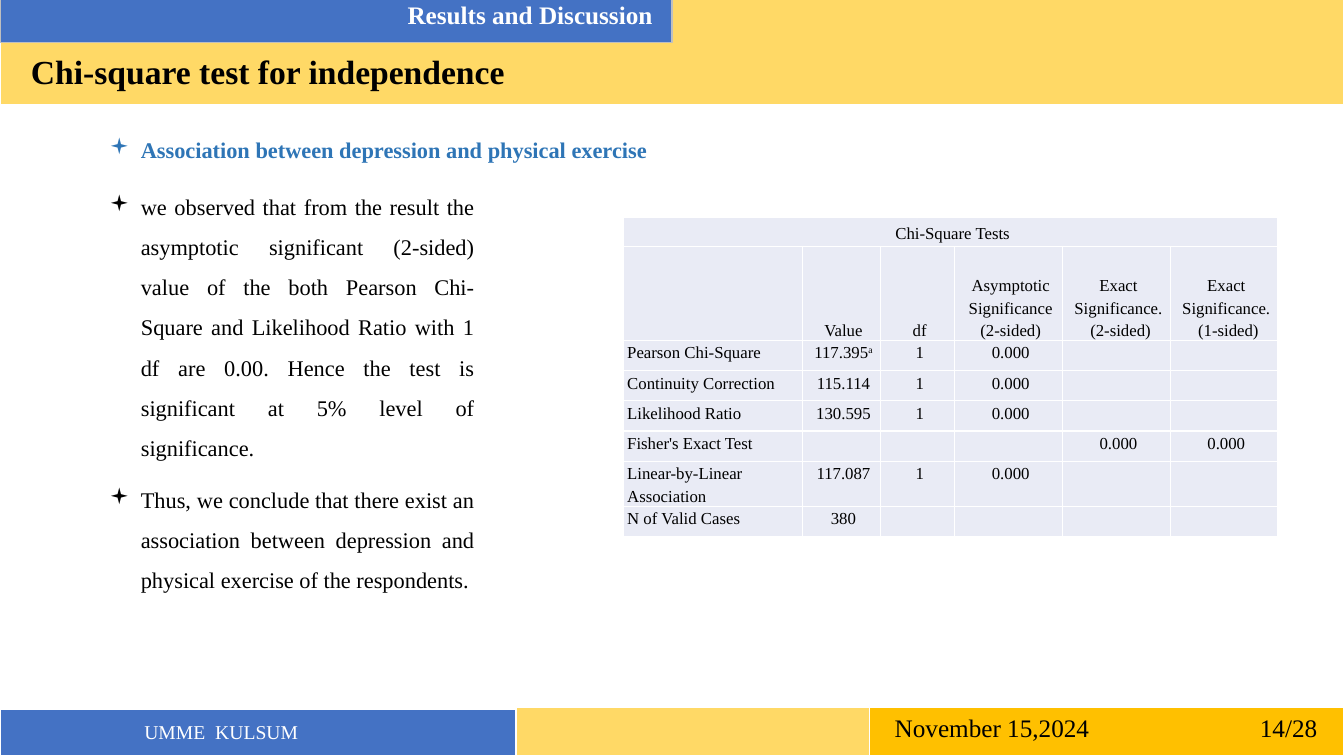
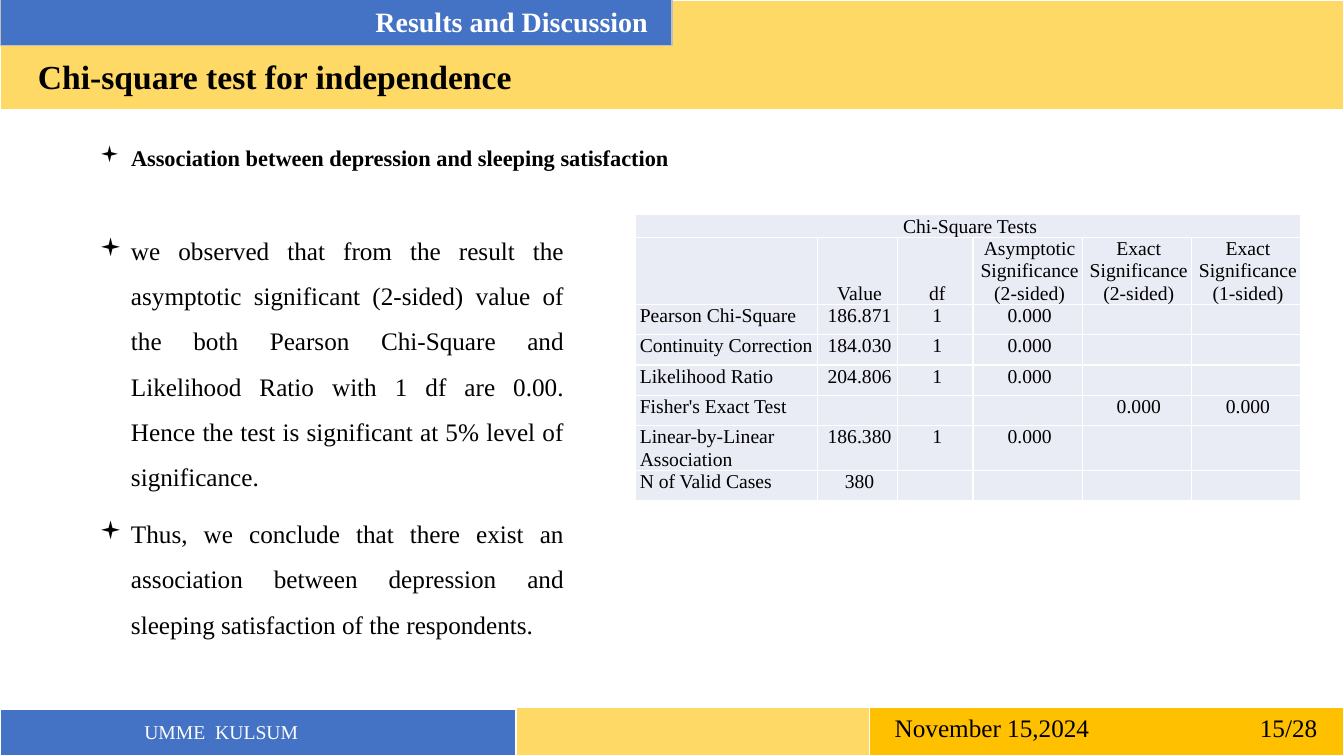
from dataclasses import dataclass

from lxml.etree import SubElement
from pptx import Presentation
from pptx.dml.color import RGBColor
from pptx.enum.shapes import MSO_SHAPE as Preset
from pptx.enum.text import MSO_ANCHOR as Anchor, PP_ALIGN as Align
from pptx.oxml.ns import qn
from pptx.util import Pt

FONT = "Times New Roman"
COLORS = {
    "yellow": "FFD966", "blue": "4472C4", "gold": "FFC000", "grey": "BFBFBF",
    "white": "FFFFFF", "black": "000000", "accent": "2E75B6", "cell": "E9EBF5",
}
WIDTH, HEIGHT = 960, 540
BULLET_INDENT = 22.5
SECTION = "Results and Discussion"
TITLE = "Chi-square test for independence"
AUTHOR = "UMME  KULSUM"
DATE = "November 15,2024"
PAGE_COUNT = 28
TABLE_TITLE = "Chi-Square Tests"
OBSERVATION = (
    "we observed that from the result the asymptotic significant (2-sided) value "
    "of the both Pearson Chi-Square and Likelihood Ratio with 1 df are 0.00. "
    "Hence the test is significant at 5% level of significance."
)
CONCLUSION = (
    "Thus, we conclude that there exist an association between depression and "
    "{} of the respondents."
)


@dataclass
class TestPage:
    number: int
    factor: str
    band_top: float
    tab_offset: float
    section_left: float
    section_size: float
    title_left: float
    topic_box: tuple
    topic_color: str
    findings_box: tuple
    findings_size: float
    table_at: tuple
    column_widths: tuple
    row_heights: tuple
    table_size: float
    exact_headers: tuple
    statistics: tuple


PAGES = [
    TestPage(
        number=14, factor="physical exercise", band_top=-4, tab_offset=0,
        section_left=284, section_size=18, title_left=15,
        topic_box=(71, 93.5, 513, 27), topic_color="accent",
        findings_box=(71, 124.5, 275, 332), findings_size=16,
        table_at=(445, 155.5), column_widths=(128, 56, 53, 77, 77, 77),
        row_heights=(20.5, 67, 21.2, 21.2, 21.2, 21.2, 32, 21), table_size=12,
        exact_headers=("Exact Significance.\n (2-sided)", "Exact Significance.\n (1-sided)"),
        statistics=("117.395^a", "115.114", "130.595", "117.087"),
    ),
    TestPage(
        number=15, factor="sleeping satisfaction", band_top=0, tab_offset=-2,
        section_left=261, section_size=20, title_left=20,
        topic_box=(64, 99.5, 608, 27), topic_color="black",
        findings_box=(64, 153.5, 346, 340), findings_size=18,
        table_at=(454, 153.5), column_widths=(130, 57, 54, 78, 78, 78),
        row_heights=(16, 48, 17.8, 17.8, 17.8, 17.8, 32, 17.8), table_size=14,
        exact_headers=("Exact Significance\n(2-sided)", "Exact Significance\n(1-sided)"),
        statistics=("186.871", "184.030", "204.806", "186.380"),
    ),
]


def rgb(color):
    return RGBColor.from_string(COLORS[color])


def style_runs(paragraph, size, color, bold=False):
    for run in paragraph.runs:
        run.font.name = FONT
        run.font.size = Pt(size)
        run.font.bold = bold
        run.font.color.rgb = rgb(color)


def add_block(slide, box, fill, line="white"):
    block = slide.shapes.add_shape(Preset.RECTANGLE, *map(Pt, box))
    block.shadow.inherit = False
    block.fill.solid()
    block.fill.fore_color.rgb = rgb(fill)
    block.line.color.rgb = rgb(line)
    block.line.width = Pt(1)


def add_text(slide, box, text, size, color="black", bold=False, align=Align.LEFT):
    frame = slide.shapes.add_textbox(*map(Pt, box)).text_frame
    frame.word_wrap = True
    frame.text = text
    for paragraph in frame.paragraphs:
        paragraph.alignment = align
        style_runs(paragraph, size, color, bold)
    return frame


def add_bullets(frame):
    for paragraph in frame.paragraphs:
        properties = paragraph._p.get_or_add_pPr()
        properties.set("marL", str(Pt(BULLET_INDENT)))
        properties.set("indent", str(-Pt(BULLET_INDENT)))
        SubElement(properties, qn("a:buFont"), typeface="Wingdings")
        SubElement(properties, qn("a:buChar"), char="▪")


def add_heading(slide, box, page):
    left, top, width, height = box
    add_block(slide, box, "yellow")
    add_block(slide, (left, top + page.tab_offset, width / 2, 34.5), "blue", "grey")
    add_text(slide, (left + page.section_left, top, 250, 36), SECTION,
             page.section_size, "white", bold=True)
    add_text(slide, (left + page.title_left, top + 36.5, 387, 36), TITLE, 24, bold=True)


def add_footer(slide, box, number):
    left, top, width, height = box
    add_block(slide, (left, top + 1.5, 369, height - 1.5), "blue")
    add_block(slide, (left + 368.5, top, 252.5, height), "yellow")
    add_block(slide, (left + 621, top, width - 621, height), "gold")
    add_text(slide, (left + 96, top + 5.5, 253, 24.5), AUTHOR, 14, "white")
    add_text(slide, (left + 632, top, 200, 29), DATE, 18)
    add_text(slide, (left + 848, top, 100, 29), f"{number}/{PAGE_COUNT}", 18,
             align=Align.RIGHT)


def add_findings(slide, box, page):
    text = "\n".join([OBSERVATION, CONCLUSION.format(page.factor)])
    findings = add_text(slide, box, text, page.findings_size, align=Align.JUSTIFY)
    for paragraph in findings.paragraphs:
        paragraph.line_spacing = 1.5
        paragraph.space_after = Pt(8)
    add_bullets(findings)


def table_rows(page):
    pearson, continuity, likelihood, linear = page.statistics
    significant = ("1", "0.000", "", "")
    return [
        (TABLE_TITLE, "", "", "", "", ""),
        ("", "Value", "df", "Asymptotic Significance\n(2-sided)", *page.exact_headers),
        ("Pearson Chi-Square", pearson, *significant),
        ("Continuity Correction", continuity, *significant),
        ("Likelihood Ratio", likelihood, *significant),
        ("Fisher's Exact Test", "", "", "", "0.000", "0.000"),
        ("Linear-by-Linear Association", linear, *significant),
        ("N of Valid Cases", "380", "", "", "", ""),
    ]


def style_cell(cell):
    cell.margin_left = cell.margin_right = cell.margin_top = cell.margin_bottom = 0
    properties = cell._tc.get_or_add_tcPr()
    for side in ("lnL", "lnR", "lnT", "lnB"):
        border = SubElement(properties, qn(f"a:{side}"), w=str(Pt(1)))
        fill = SubElement(border, qn("a:solidFill"))
        SubElement(fill, qn("a:srgbClr"), val=COLORS["white"])
    cell.fill.solid()
    cell.fill.fore_color.rgb = rgb("cell")


def fill_cell(cell, text, size, align):
    value, _, note = text.partition("^")
    cell.text_frame.text = value
    if note:
        mark = cell.text_frame.paragraphs[0].add_run()
        mark.text = note
        mark.font._element.set("baseline", "30000")
    for paragraph in cell.text_frame.paragraphs:
        paragraph.alignment = align
        paragraph.line_spacing = Pt(16)
        paragraph._p.get_or_add_pPr().set("marL", str(Pt(3)))
        style_runs(paragraph, size, "black")


def add_test_table(slide, at, page):
    rows = table_rows(page)
    size = (sum(page.column_widths), sum(page.row_heights))
    table = slide.shapes.add_table(len(rows), len(page.column_widths),
                                   *map(Pt, at + size)).table
    table.first_row = table.horz_banding = False
    for column, width in zip(table.columns, page.column_widths):
        column.width = Pt(width)
    for row, height in zip(table.rows, page.row_heights):
        row.height = Pt(height)
    table.cell(0, 0).merge(table.cell(0, len(page.column_widths) - 1))
    anchors = {0: Anchor.MIDDLE, 1: Anchor.BOTTOM}
    for r, row in enumerate(rows):
        for c, text in enumerate(row):
            cell = table.cell(r, c)
            style_cell(cell)
            cell.vertical_anchor = anchors.get(r, Anchor.TOP)
            is_label = c == 0 and r > 1
            fill_cell(cell, text, page.table_size,
                      Align.JUSTIFY if is_label else Align.CENTER)


def build_test_slide(deck, page):
    slide = deck.slides.add_slide(deck.slide_layouts[6])
    add_heading(slide, (0, page.band_top, WIDTH, 78.5), page)
    add_footer(slide, (0, 505, WIDTH, HEIGHT - 505), page.number)
    topic = add_text(slide, page.topic_box,
                     f"Association between depression and {page.factor}",
                     16, page.topic_color, bold=True)
    add_bullets(topic)
    add_findings(slide, page.findings_box, page)
    add_test_table(slide, page.table_at, page)


def main():
    deck = Presentation()
    deck.slide_width, deck.slide_height = Pt(WIDTH), Pt(HEIGHT)
    for page in PAGES:
        build_test_slide(deck, page)
    deck.save("out.pptx")


if __name__ == "__main__":
    main()
